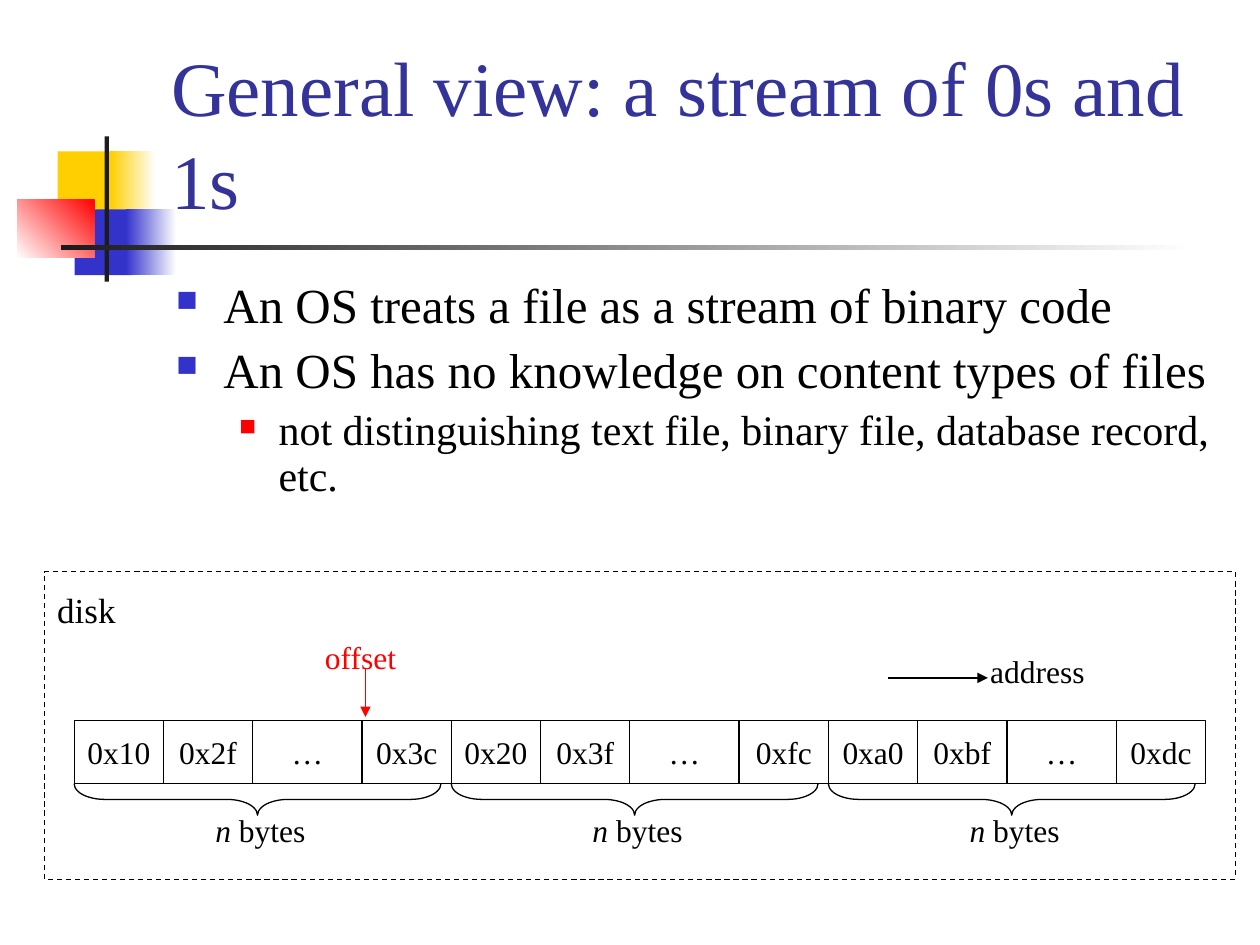
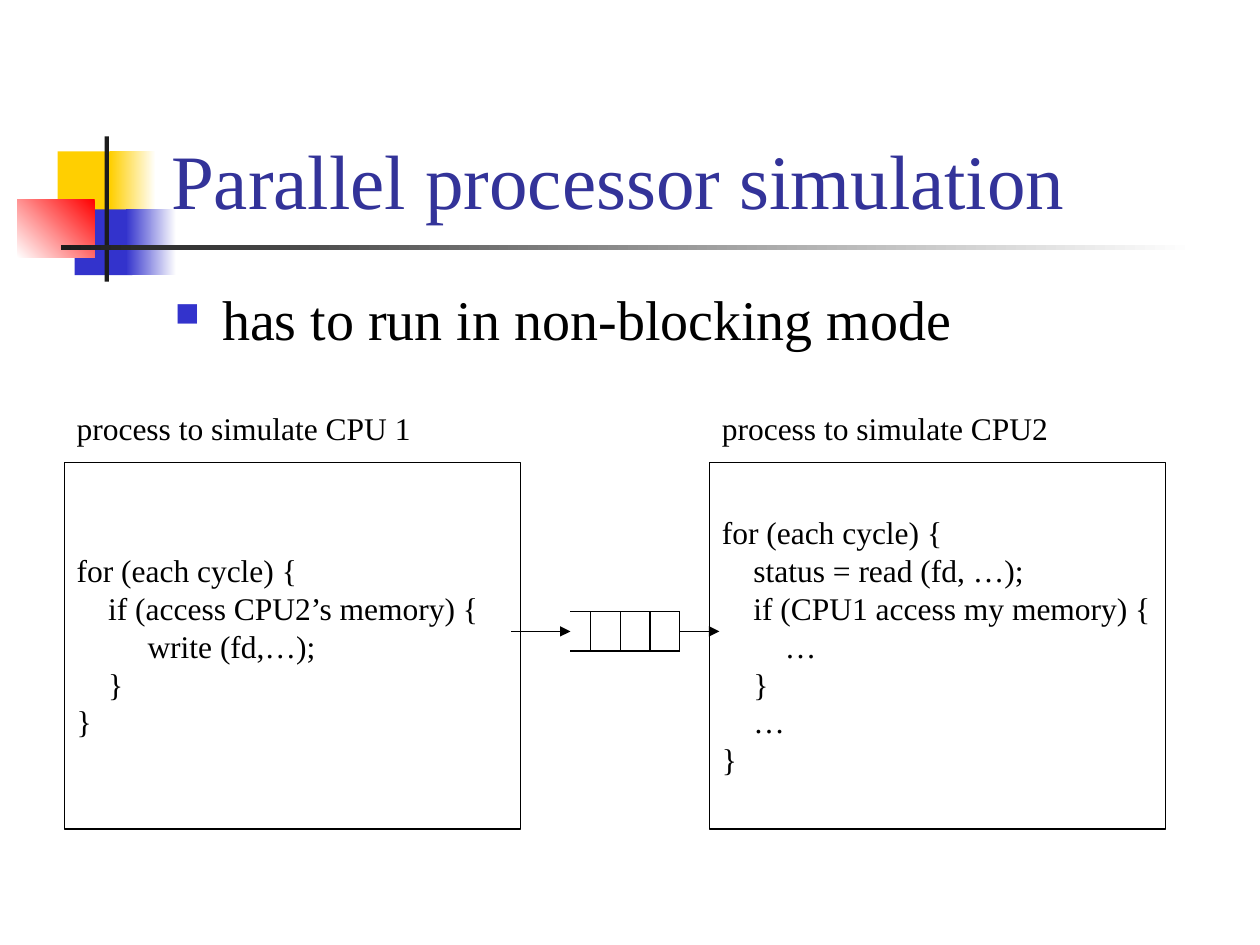
from lxml.etree import SubElement
from pptx import Presentation
from pptx.dml.color import RGBColor
from pptx.enum.dml import MSO_LINE
from pptx.enum.shapes import MSO_CONNECTOR, MSO_SHAPE
from pptx.enum.text import MSO_ANCHOR, MSO_AUTO_SIZE, PP_ALIGN
from pptx.oxml.ns import qn
from pptx.util import Pt

FONT = "Times New Roman"
BLACK = RGBColor(0x00, 0x00, 0x00)
WHITE = RGBColor(0xFF, 0xFF, 0xFF)
CHARCOAL = RGBColor(0x1C, 0x1C, 0x1C)
RED = RGBColor(0xFF, 0x00, 0x00)
YELLOW = RGBColor(0xFF, 0xCF, 0x01)
BLUE = RGBColor(0x33, 0x33, 0xCC)
TITLE_BLUE = RGBColor(0x33, 0x33, 0x99)

# left, top, width, height, start colour, end colour, gradient angle
ORNAMENTS = [
    (33, 86.5, 34.5, 37.5, YELLOW, None, 0),
    (63, 86.5, 26, 37.5, WHITE, YELLOW, 180),
    (42.7, 119.7, 33, 37.5, BLUE, None, 0),
    (72, 119.7, 28.6, 37.5, WHITE, BLUE, 180),
    (9.8, 113.8, 44.3, 33.5, RED, WHITE, 225),
    (59.8, 78, 2.5, 83, CHARCOAL, None, 0),
    (34.8, 140.2, 648, 2.6, WHITE, CHARCOAL, 180),
]

# left margin, hanging indent, space before, bullet colour, bullet size in percent
BULLET_LEVELS = [(27, 27, 7, BLUE, 60), (58.5, 22.5, 6, RED, 55)]

# title, body left, body top, body height, line spacing, bullets (level, size, text)
SLIDES = [
    ("General view: a stream of 0s and 1s", 93.6, 157, 136, 0.9, [
        (0, 28, "An OS treats a file as a stream of binary code"),
        (0, 28, "An OS has no knowledge on content types of files"),
        (1, 24, "not distinguishing text file, binary file, database record, etc."),
    ]),
    ("Parallel processor simulation", 92.9, 159.2, 65.5, 1.0, [
        (0, 32, "has to run in non-blocking mode"),
    ]),
]


def add_text(slide, left, top, width, height, lines, size=18, color=BLACK,
             outlined=False, wrap=False, align=PP_ALIGN.LEFT, anchor=MSO_ANCHOR.TOP):
    """Add a text box, or an outlined rectangle, and return its paragraphs."""
    frame = (Pt(left), Pt(top), Pt(width), Pt(height))
    if outlined:
        shape = slide.shapes.add_shape(MSO_SHAPE.RECTANGLE, *frame)
        shape.shadow.inherit = False
        shape.fill.background()
        shape.line.color.rgb = BLACK
        shape.line.width = Pt(0.75)
    else:
        shape = slide.shapes.add_textbox(*frame)
    text_frame = shape.text_frame
    text_frame.word_wrap = wrap
    if not (wrap or outlined):
        text_frame.auto_size = MSO_AUTO_SIZE.SHAPE_TO_FIT_TEXT
    text_frame.vertical_anchor = anchor
    text_frame.text = "\n".join(lines)
    for paragraph in text_frame.paragraphs:
        paragraph.alignment = align
        paragraph.font.name = FONT
        paragraph.font.size = Pt(size)
        paragraph.font.color.rgb = color
    return text_frame.paragraphs


def add_line(slide, x1, y1, x2, y2, color=BLACK, arrow=False):
    connector = slide.shapes.add_connector(
        MSO_CONNECTOR.STRAIGHT, Pt(x1), Pt(y1), Pt(x2), Pt(y2))
    connector.line.color.rgb = color
    connector.line.width = Pt(0.75)
    properties = connector._element.spPr
    if arrow:
        SubElement(properties.find(qn("a:ln")), qn("a:tailEnd"), type="triangle")
    SubElement(properties, qn("a:effectLst"))


presentation = Presentation()
presentation.slide_width = Pt(720)
presentation.slide_height = Pt(540)

# Shared ornament, title and bullets
for title, body_left, body_top, body_height, spacing, bullets in SLIDES:
    slide = presentation.slides.add_slide(presentation.slide_layouts[6])
    for left, top, width, height, start, end, angle in ORNAMENTS:
        shape = slide.shapes.add_shape(
            MSO_SHAPE.RECTANGLE, Pt(left), Pt(top), Pt(width), Pt(height))
        shape.shadow.inherit = False
        shape.line.fill.background()
        if end is None:
            shape.fill.solid()
            shape.fill.fore_color.rgb = start
        else:
            shape.fill.gradient()
            shape.fill.gradient_angle = angle
            for stop, color in zip(shape.fill.gradient_stops, (start, end)):
                stop.color.rgb = color
    add_text(slide, 90.7, 16.6, 613.4, 115.2, [title], 44, TITLE_BLUE,
             wrap=True, anchor=MSO_ANCHOR.BOTTOM)
    paragraphs = add_text(slide, body_left, body_top, 612, body_height,
                          [text for _, _, text in bullets], wrap=True)
    for paragraph, (level, size, _) in zip(paragraphs, bullets):
        margin, hanging, before, color, percent = BULLET_LEVELS[level]
        paragraph.level = level
        paragraph.font.size = Pt(size)
        paragraph.line_spacing = spacing
        paragraph.space_before = Pt(before)
        properties = paragraph._p.get_or_add_pPr()
        properties.set("marL", str(Pt(margin)))
        properties.set("indent", str(-Pt(hanging)))
        # Bullet elements come before the default run properties
        default_font = properties.find(qn("a:defRPr"))
        bullet_color = SubElement(properties, qn("a:buClr"))
        SubElement(bullet_color, qn("a:srgbClr"), val=str(color))
        bullet_size = SubElement(properties, qn("a:buSzPct"), val=str(percent * 1000))
        bullet = SubElement(properties, qn("a:buChar"), char="■")
        for element in (bullet_color, bullet_size, bullet):
            default_font.addprevious(element)

stream_slide, simulation_slide = presentation.slides

# Disk with three groups of bytes
CELL_WIDTHS = [51, 51, 62.5, 51]
BYTE_GROUPS = [
    ["0x10", "0x2f", "…", "0x3c"],
    ["0x20", "0x3f", "…", "0xfc"],
    ["0xa0", "0xbf", "…", "0xdc"],
]
BRACE_DEPTH, BRACE_SPAN, BRACE_MIDDLE = 18, 209.6, 456.8

for group_number, values in enumerate(BYTE_GROUPS):
    group_left = 42.4 + group_number * sum(CELL_WIDTHS)
    cell_left = group_left
    for value, width in zip(values, CELL_WIDTHS):
        add_text(stream_slide, cell_left, 411.8, width, 36, [value], outlined=True,
                 align=PP_ALIGN.CENTER, anchor=MSO_ANCHOR.MIDDLE)
        cell_left += width
    brace = stream_slide.shapes.add_shape(
        MSO_SHAPE.LEFT_BRACE,
        Pt(group_left + (BRACE_SPAN - BRACE_DEPTH) / 2),
        Pt(BRACE_MIDDLE - BRACE_SPAN / 2), Pt(BRACE_DEPTH), Pt(BRACE_SPAN))
    brace.rotation = 270
    brace.adjustments[0] = 0.965
    brace.shadow.inherit = False
    brace.fill.background()
    brace.line.color.rgb = BLACK
    brace.line.width = Pt(0.75)
    caption = add_text(stream_slide, group_left + 73.6, 460, 66.5, 29, ["n"])[0]
    caption.runs[0].font.italic = True
    caption.add_run().text = " bytes"

disk = stream_slide.shapes.add_shape(
    MSO_SHAPE.RECTANGLE, Pt(25.3), Pt(326.7), Pt(680.5), Pt(175.8))
disk.shadow.inherit = False
disk.fill.background()
disk.line.color.rgb = BLACK
disk.line.width = Pt(0.75)
disk.line.dash_style = MSO_LINE.DASH
add_text(stream_slide, 25.6, 332.6, 48.5, 31.7, ["disk"], 20)
add_text(stream_slide, 178.6, 361, 55.4, 29, ["offset"], color=RED)
add_line(stream_slide, 208.8, 381.6, 208.8, 409.7, RED, arrow=True)
add_text(stream_slide, 558.7, 369.2, 68.4, 29, ["address"])
add_line(stream_slide, 507.6, 387.4, 564.5, 387.4, arrow=True)

# Two processes: left, label, label width, code lines (indent, text)
PROCESSES = [
    (36.7, "process to simulate CPU 1", 206, [
        (0, "for (each cycle) {"),
        (18, "if (access CPU2’s memory) {"),
        (40.5, "write (fd,…);"),
        (18, "}"),
        (0, "}"),
    ]),
    (405.4, "process to simulate CPU2", 201, [
        (0, "for (each cycle) {"),
        (18, "status = read (fd, …);"),
        (18, "if (CPU1 access my memory) {"),
        (36, "…"),
        (18, "}"),
        (18, "…"),
        (0, "}"),
    ]),
]
for left, label, label_width, code in PROCESSES:
    paragraphs = add_text(simulation_slide, left, 264.2, 260.6, 209.5,
                          [text for _, text in code], outlined=True, wrap=True,
                          anchor=MSO_ANCHOR.MIDDLE)
    for paragraph, (indent, _) in zip(paragraphs, code):
        paragraph._p.get_or_add_pPr().set("marL", str(Pt(indent)))
    add_text(simulation_slide, left, 230.4, label_width, 29, [label])

# Queue between the processes
QUEUE_LEFT, QUEUE_RIGHT, QUEUE_TOP, QUEUE_BOTTOM = 326, 388.4, 349.3, 372
QUEUE_MIDDLE = 360.8
for y in (QUEUE_TOP, QUEUE_BOTTOM):
    add_line(simulation_slide, QUEUE_LEFT, y, QUEUE_RIGHT, y)
for slot in range(4):
    x = QUEUE_RIGHT - slot * 17
    add_line(simulation_slide, x, QUEUE_TOP, x, QUEUE_BOTTOM)
add_line(simulation_slide, 292.3, QUEUE_MIDDLE, QUEUE_LEFT, QUEUE_MIDDLE, arrow=True)
add_line(simulation_slide, QUEUE_RIGHT, QUEUE_MIDDLE, 411.1, QUEUE_MIDDLE, arrow=True)

presentation.save("out.pptx")
